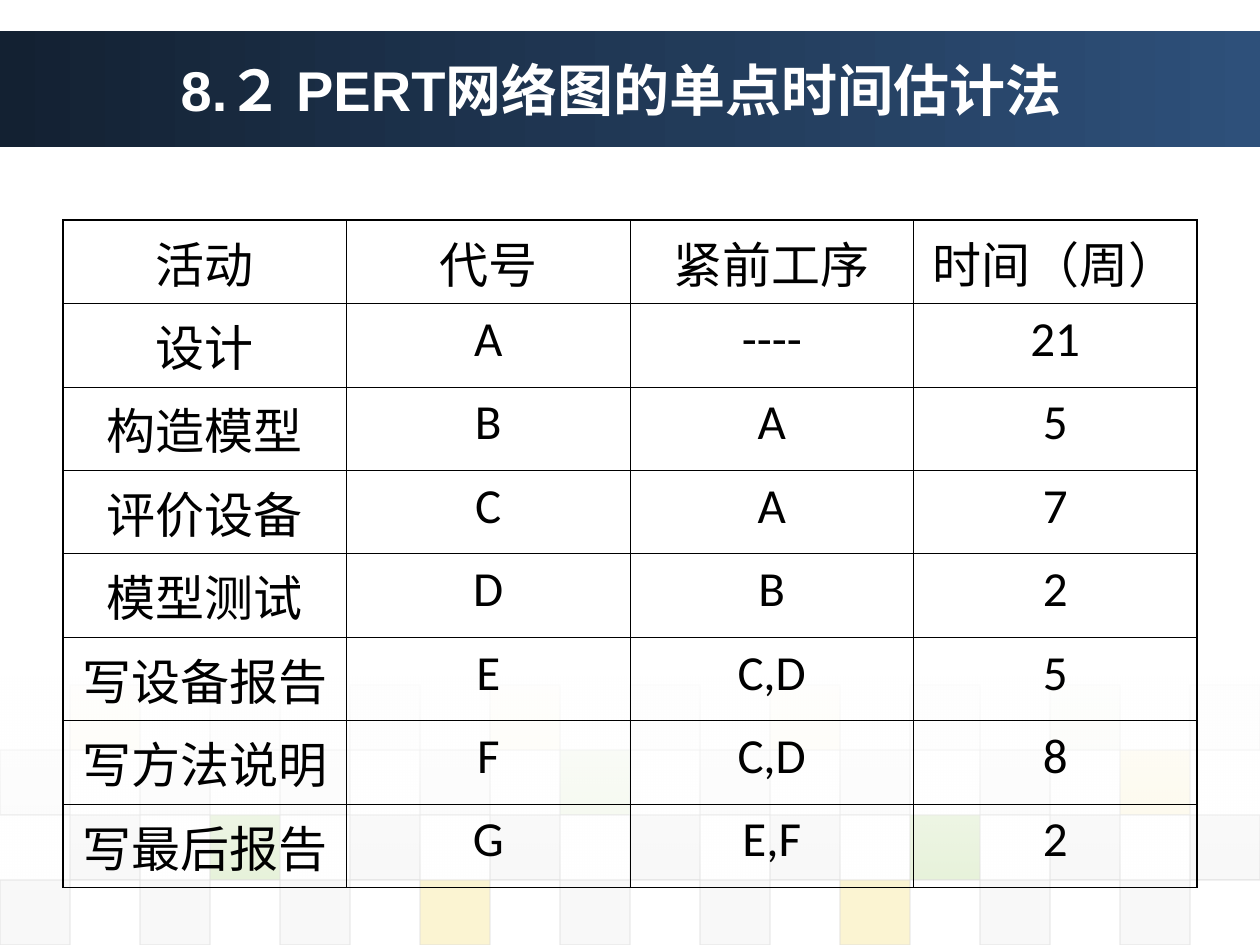
from typing import NamedTuple

from pptx import Presentation, util as u
from pptx.dml.color import RGBColor
from pptx.enum import shapes, text
from pptx.oxml.ns import qn
from lxml import etree

SCALE = 914400 / 126  # EMU in one px

WHITE = RGBColor(0xFF, 0xFF, 0xFF)
BLACK = RGBColor(0, 0, 0)
NAVY = RGBColor(0x13, 0x21, 0x32)
BLUE = RGBColor(0x2E, 0x50, 0x7A)
GRAY = RGBColor(0xDD, 0xDD, 0xDD)
PALE = RGBColor(0xEA, 0xEA, 0xEA)
GREEN = RGBColor(0x8A, 0xC2, 0x46)
GOLD = RGBColor(0xEF, 0xC8, 0x21)

HUES = {"D": GRAY, "E": PALE, "G": GREEN, "Y": GOLD}
THIN, THICK = 0.45, 1.08  # table rules in points


class Box(NamedTuple):
    x: int
    y: int
    w: int
    h: int

    def emu(self) -> list:
        return [px(n) for n in self]


class Band(NamedTuple):
    """One row of tiles: first column, hue letters, opacity."""
    start: int
    hues: str
    alpha: int


BANDS = [
    Band(1, "YEEYDYEGE", 5),
    Band(0, "DDDDGDDDY", 10),
    Band(1, "DGDDDDGDD", 20),
    Band(0, "DDDYDDYDD", 20),
]

ROWS = [
    ("活动", "代号", "紧前工序", "时间（周）"),
    ("设计", "A", "----", "21"),
    ("构造模型", "B", "A", "5"),
    ("评价设备", "C", "A", "7"),
    ("模型测试", "D", "B", "2"),
    ("写设备报告", "E", "C,D", "5"),
    ("写方法说明", "F", "C,D", "8"),
    ("写最后报告", "G", "E,F", "2"),
]


def px(n: int) -> u.Emu:
    return u.Emu(round(n * SCALE))


def write(frame, words: str, *, size: int, font: str, color: RGBColor,
          bold: bool = False, align=text.PP_ALIGN.LEFT) -> None:
    para = frame.paragraphs[0]
    para.alignment = align
    run = para.add_run()
    run.text = words
    run.font.size = u.Pt(size)
    run.font.name = font
    run.font.bold = bold
    run.font.color.rgb = color


def fade(shape, *alphas: int) -> None:
    """Set the opacity of the shape's colours, in their order."""
    colors = shape.element.iter(qn("a:srgbClr"))
    for color, alpha in zip(colors, alphas):
        etree.SubElement(color, qn("a:alpha")).set("val", str(alpha * 1000))


def rect(slide, box: Box):
    shape = slide.shapes.add_shape(shapes.MSO_SHAPE.RECTANGLE, *box.emu())
    shape.shadow.inherit = False
    return shape


def blend(slide, box: Box, first: RGBColor, last: RGBColor, angle: int):
    shape = rect(slide, box)
    shape.line.fill.background()
    shape.fill.gradient()
    shape.fill.gradient_angle = angle
    for stop, color in zip(shape.fill.gradient_stops, (first, last)):
        stop.color.rgb = color
    return shape


def tile(slide, box: Box, color: RGBColor, alpha: int) -> None:
    shape = rect(slide, box)
    shape.fill.solid()
    shape.fill.fore_color.rgb = color
    shape.line.color.rgb = GRAY
    shape.line.width = u.Pt(0.75)
    fade(shape, alpha, 60)


def border(cell, side: str, width: float) -> None:
    props = cell._tc.get_or_add_tcPr()
    line = etree.SubElement(props, qn(f"a:ln{side}"), w=str(u.Pt(width)))
    fill = etree.SubElement(line, qn("a:solidFill"))
    etree.SubElement(fill, qn("a:srgbClr"), val=str(BLACK))


def grid(slide, box: Box, rows: list) -> None:
    high, wide = len(rows), len(rows[0])
    table = slide.shapes.add_table(high, wide, *box.emu()).table
    table.first_row = table.horz_banding = False
    for r, row in enumerate(rows):
        for c, words in enumerate(row):
            cell = table.cell(r, c)
            edges = {"L": c == 0, "R": c == wide - 1,
                     "T": r == 0, "B": r == high - 1}
            for side, outer in edges.items():
                border(cell, side, THICK if outer else THIN)
            cell.fill.background()
            write(cell.text_frame, words, size=28, font="Calibri",
                  color=BLACK, align=text.PP_ALIGN.CENTER)


def main() -> None:
    deck = Presentation()
    deck.slide_width, deck.slide_height = px(1260), px(945)
    slide = deck.slides.add_slide(deck.slide_layouts[5])

    # Title band
    blend(slide, Box(0, 31, 1260, 116), NAVY, BLUE, 0)

    # Checkered tiles, faded towards the top
    for r, band in enumerate(BANDS):
        for i, hue in enumerate(band.hues):
            col = band.start + 2 * i
            box = Box(col * 70, 685 + r * 65, 70, 65)
            tile(slide, box, HUES[hue], band.alpha)
    veil = blend(slide, Box(0, 677, 1260, 204), WHITE, WHITE, 270)
    fade(veil, 90, 0)

    # Title, brought in front of the band
    title = slide.shapes.title
    title.element.getparent().append(title.element)
    title.left, title.top, title.width, title.height = Box(168, 31, 1018, 116).emu()
    frame = title.text_frame
    frame.word_wrap = True
    frame.auto_size = text.MSO_AUTO_SIZE.NONE
    frame.vertical_anchor = text.MSO_ANCHOR.MIDDLE
    write(frame, "8.２ PERT网络图的单点时间估计法", size=32, font="Arial",
          color=WHITE, bold=True)

    # Activity table
    grid(slide, Box(63, 220, 1134, 652), ROWS)

    deck.save("out.pptx")


if __name__ == "__main__":
    main()
